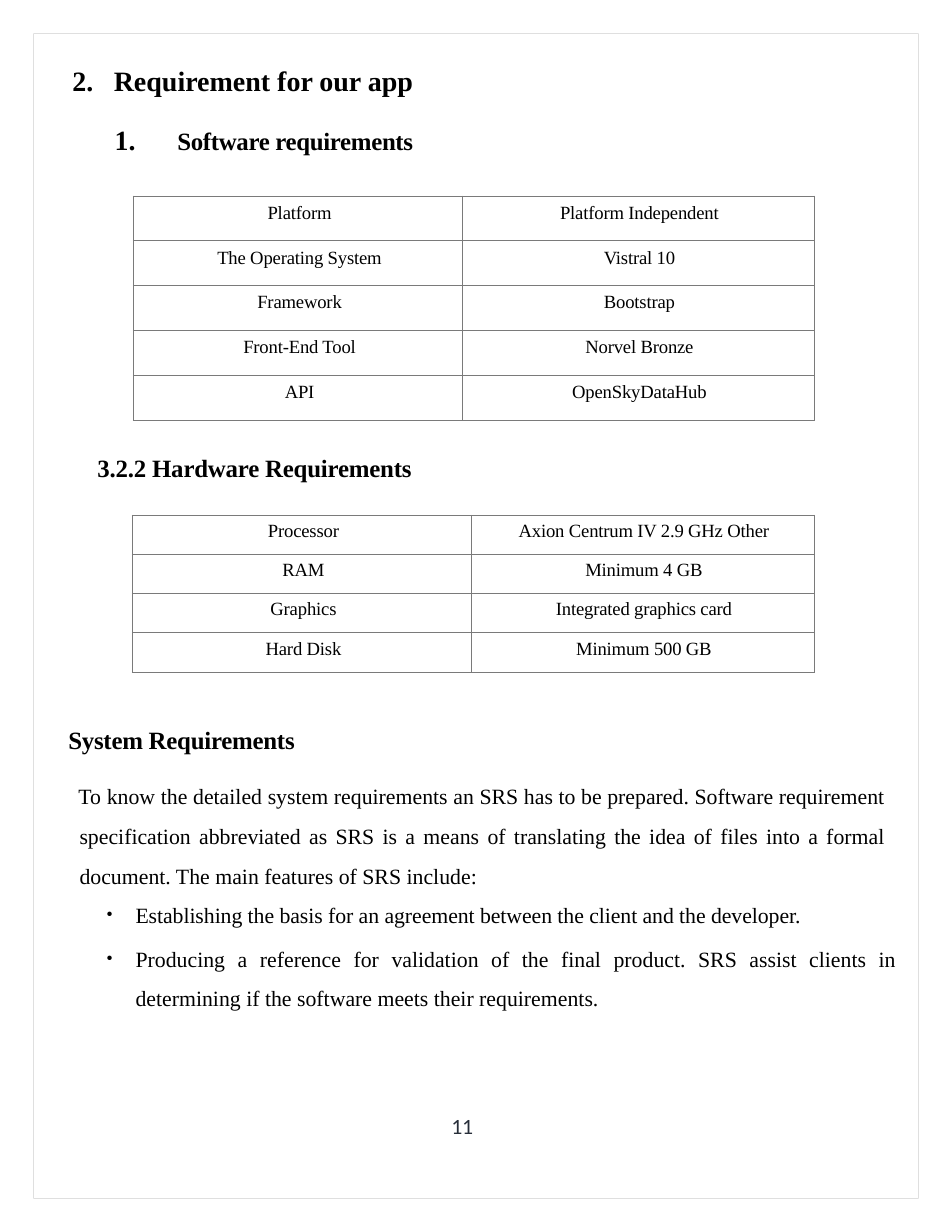
from lxml.etree import SubElement
from pptx import Presentation
from pptx.dml.color import RGBColor
from pptx.enum.text import MSO_ANCHOR, PP_ALIGN as Align
from pptx.oxml.ns import qn
from pptx.util import Emu, Pt

GRID = 91440
COLUMNS, ROWS = 85, 110
SERIF = "Times New Roman"
BLACK, GREY, SLATE = "000000", "7A7A7A", "272E39"

SOFTWARE = [
    ("Platform", "Platform Independent"),
    ("The Operating System", "Vistral 10"),
    ("Framework", "Bootstrap"),
    ("Front-End Tool", "Norvel Bronze"),
    ("API", "OpenSkyDataHub"),
]
HARDWARE = [
    ("Processor", "Axion Centrum IV 2.9 GHz Other"),
    ("RAM", "Minimum 4 GB"),
    ("Graphics", "Integrated graphics card"),
    ("Hard Disk", "Minimum 500 GB"),
]
SRS_INTRO = (
    "To know the detailed system requirements an SRS has to be prepared. "
    "Software requirement specification abbreviated as SRS is a means of "
    "translating the idea of files into a formal document. "
    "The main features of SRS include:"
)
SRS_FEATURES = [
    ("Establishing the basis for an agreement between the client and the developer.", 8.2, 1, -0.06),
    ("Producing a reference for validation of the final product. SRS assist clients in "
     "determining if the software meets their requirements.", 3.2, 1.5, 0),
]


def units(count):
    return Emu(round(count * GRID))


def colour(value):
    return RGBColor.from_string(value)


def style(paragraph, size, align=Align.LEFT, bold=False, before=0, spacing=1,
          tracking=0, face=SERIF, ink=BLACK, margin=0, indent=0, right=0):
    paragraph.alignment = align
    paragraph.line_spacing = spacing
    paragraph.space_before = Pt(before)
    properties = paragraph._p.get_or_add_pPr()
    for name, value in (("marL", margin), ("indent", indent), ("marR", right)):
        properties.set(name, str(units(value)))
    for run in paragraph.runs:
        run.font.size = Pt(size)
        run.font.name = face
        run.font.bold = bold
        run.font.color.rgb = colour(ink)
        run._r.get_or_add_rPr().set("spc", str(round(tracking * 100)))


def add_marker(paragraph, face, percent, tag, **attributes):
    properties = paragraph._p.get_or_add_pPr()
    SubElement(properties, qn("a:buSzPct"), val=str(percent * 1000))
    SubElement(properties, qn("a:buFont"), typeface=face)
    SubElement(properties, qn(tag), **attributes)
    tabs = SubElement(properties, qn("a:tabLst"))
    SubElement(tabs, qn("a:tab"), pos=properties.get("marL"), algn="l")


def add_text(slide, box, lines, top_inset=0.1):
    shape = slide.shapes.add_textbox(*map(units, box))
    frame = shape.text_frame
    frame.word_wrap = True
    frame.margin_left = frame.margin_right = frame.margin_bottom = 0
    frame.margin_top = units(top_inset)
    frame.text = "\n".join(lines)
    return frame.paragraphs


def add_headings(slide, box):
    title, software = add_text(slide, box, ["Requirement for our app", "Software requirements"])
    style(title, 18, Align.RIGHT, True, before=1, margin=3.7, indent=-3.7)
    style(software, 16, Align.RIGHT, True, before=18.2, tracking=-0.2, margin=5.6, indent=-5.6)
    title.level, software.level = 1, 2
    add_marker(title, SERIF, 100, "a:buAutoNum", type="arabicPeriod", startAt="2")
    add_marker(software, SERIF, 112, "a:buAutoNum", type="arabicPeriod")


def add_hardware_heading(slide, box):
    heading, = add_text(slide, box, ["3.2.2 Hardware Requirements"])
    style(heading, 16, bold=True, before=0.9, tracking=-0.1, margin=0.1)


def format_cell(cell, top_inset, before, margin):
    cell.margin_left = cell.margin_right = cell.margin_bottom = 0
    cell.margin_top = units(top_inset)
    cell.vertical_anchor = MSO_ANCHOR.TOP
    cell.fill.background()
    style(cell.text_frame.paragraphs[0], 12, Align.CENTER, before=before,
          tracking=-0.1, margin=margin)
    properties = cell._tc.get_or_add_tcPr()
    for position, side in enumerate(("lnL", "lnR", "lnT", "lnB")):
        line = SubElement(properties, qn(f"a:{side}"), w=str(Pt(0.5)))
        fill = SubElement(line, qn("a:solidFill"))
        SubElement(fill, qn("a:srgbClr"), val=GREY)
        properties.insert(position, line)


def add_requirements(slide, box, records, first_width, top_inset, before):
    left, top, width, height = box
    frame = slide.shapes.add_table(len(records), 2, *map(units, box))
    table = frame.table
    table.first_row = table.horz_banding = False
    table.columns[0].width = units(first_width)
    table.columns[1].width = units(width - first_width)
    for row, record in enumerate(records):
        table.rows[row].height = units(height / len(records))
        for column, text in enumerate(record):
            cell = table.cell(row, column)
            cell.text = text
            format_cell(cell, top_inset, before, (0.3, 0.2)[column])


def add_system_section(slide, box):
    lines = ["System Requirements", SRS_INTRO, *(feature[0] for feature in SRS_FEATURES)]
    heading, intro, *features = add_text(slide, box, lines)
    style(heading, 16, Align.JUSTIFY, True, before=0.9, tracking=-0.15, margin=0.1)
    style(intro, 14, Align.JUSTIFY, before=9.6, spacing=1.52,
          margin=1.1, indent=-0.1, right=1)
    for paragraph, (_, before, spacing, tracking) in zip(features, SRS_FEATURES):
        style(paragraph, 14, Align.JUSTIFY, before=before, spacing=spacing,
              tracking=tracking, margin=6.1, indent=-2.6)
        add_marker(paragraph, SERIF, 86, "a:buChar", char="•")


def add_page_border(slide, inset, thickness):
    def corners(gap):
        right, bottom = COLUMNS - gap, ROWS - gap
        return [(gap, gap), (right, gap), (right, bottom), (gap, bottom)]

    outer, inner = corners(inset), corners(inset + thickness)
    builder = slide.shapes.build_freeform(*outer[0], scale=GRID)
    builder.add_line_segments(outer[1:], close=True)
    builder.move_to(*inner[0])
    builder.add_line_segments(inner[:0:-1], close=True)
    border = builder.convert_to_shape()
    border.shadow.inherit = False
    border.fill.solid()
    border.fill.fore_color.rgb = colour(BLACK)
    border.line.fill.background()


def add_page_number(slide, box):
    number, = add_text(slide, box, ["11"], top_inset=0)
    style(number, 14, spacing=Pt(14.3), tracking=-0.2, face="Calibri", ink=SLATE, margin=0.7)


presentation = Presentation()
presentation.slide_width = units(COLUMNS)
presentation.slide_height = units(ROWS)
slide = presentation.slides.add_slide(presentation.slide_layouts[6])
add_headings(slide, (6.3, 5.6, 30.6, 8.8))
add_requirements(slide, (11.9, 17.5, 60.8, 20), SOFTWARE, 29.4, 0.6, 4.5)
add_hardware_heading(slide, (8.6, 40.3, 28.6, 2.9))
add_requirements(slide, (11.8, 46, 60.9, 14), HARDWARE, 30.3, 0.5, 3.8)
add_system_section(slide, (6, 64.6, 74.1, 25.8))
add_page_border(slide, 3.33, 0.07)
add_page_number(slide, (39.6, 99.7, 3.1, 2.5))
presentation.save("out.pptx")
